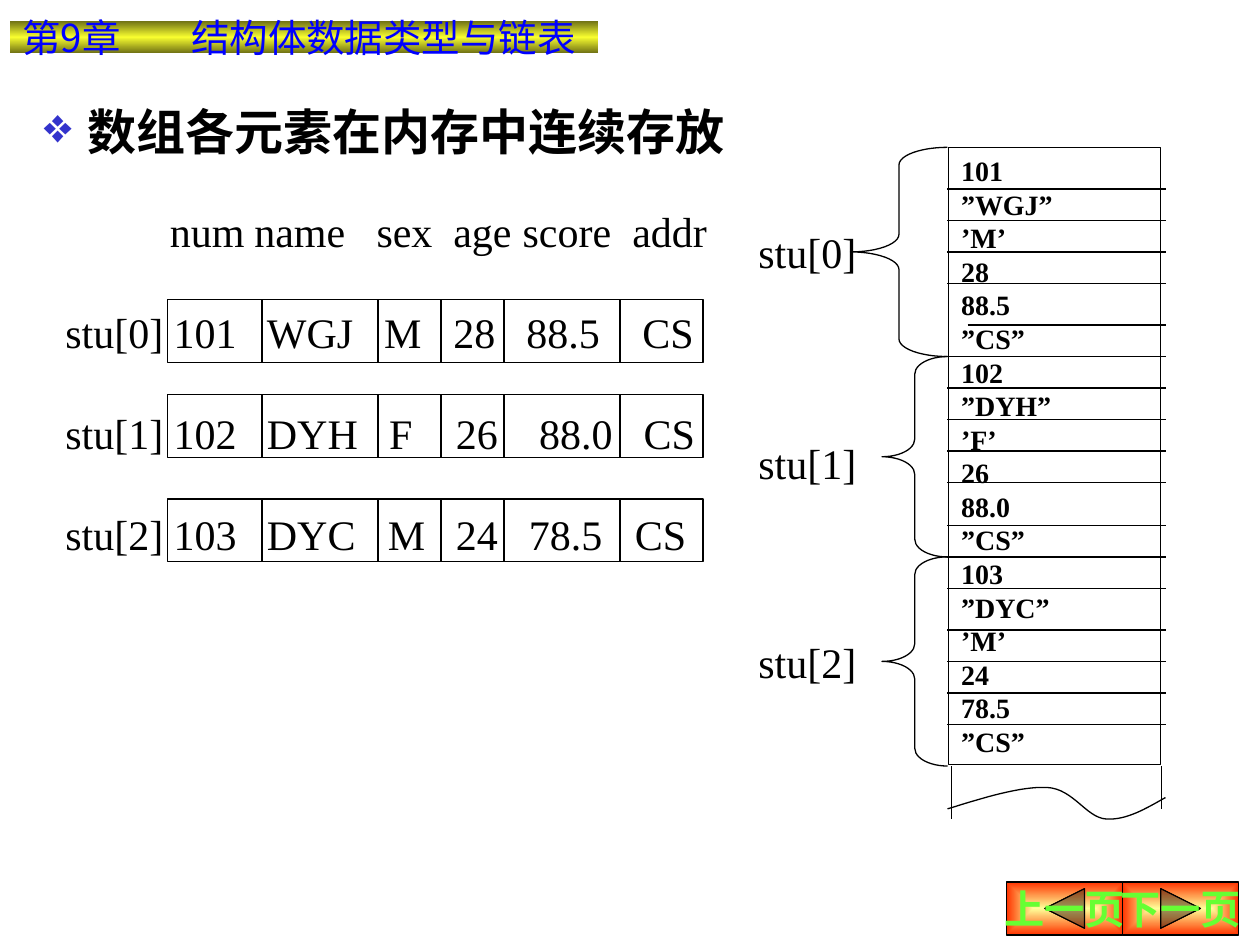
from lxml import etree
from pptx import Presentation
from pptx.dml.color import RGBColor
from pptx.enum.shapes import MSO_CONNECTOR, MSO_SHAPE
from pptx.enum.text import MSO_ANCHOR, PP_ALIGN
from pptx.oxml.ns import qn
from pptx.util import Inches, Pt

LATIN_FONT = "Times New Roman"
CJK_FONT = "Noto Sans CJK SC"
BLACK = "000000"
LINE_WIDTH = Pt(0.75)
STRAIGHT = MSO_CONNECTOR.STRAIGHT
TOP, MIDDLE = MSO_ANCHOR.TOP, MSO_ANCHOR.MIDDLE
LEFT, CENTER = PP_ALIGN.LEFT, PP_ALIGN.CENTER

STUDENTS = [
    ("101", "WGJ", "M", "28", "88.5", "CS"),
    ("102", "DYH", "F", "26", "88.0", "CS"),
    ("103", "DYC", "M", "24", "78.5", "CS"),
]
FIELDS = ("num", "name", "sex", "age", "score", "addr")
QUOTES = ("", "”", "’", "", "", "”")


def rgb(color):
    return RGBColor.from_string(color)


def add_line(slide, x1, y1, x2, y2):
    line = slide.shapes.add_connector(
        STRAIGHT, Inches(x1), Inches(y1), Inches(x2), Inches(y2))
    line.line.color.rgb = rgb(BLACK)
    line.line.width = LINE_WIDTH
    etree.SubElement(line._element.spPr, qn("a:effectLst"))


def outline(shape):
    """Leave only a thin black outline, without fill or shadow."""
    shape.shadow.inherit = False
    shape.fill.background()
    shape.line.color.rgb = rgb(BLACK)
    shape.line.width = LINE_WIDTH


def add_outlined(slide, kind, left, top, width, height):
    shape = slide.shapes.add_shape(
        kind, Inches(left), Inches(top), Inches(width), Inches(height))
    outline(shape)
    return shape


def add_textbox(slide, left, top, width, height):
    return slide.shapes.add_textbox(
        Inches(left), Inches(top), Inches(width), Inches(height))


def write(shape, lines, size, color=BLACK, bold=False, font=LATIN_FONT,
          align=LEFT, anchor=TOP, wrap=True, leading=None):
    """Fill the shape with one paragraph per line and return the paragraphs."""
    frame = shape.text_frame
    frame.word_wrap = wrap
    frame.vertical_anchor = anchor
    frame.text = "\n".join(lines)
    for paragraph in frame.paragraphs:
        paragraph.alignment = align
        if leading:
            paragraph.line_spacing = Pt(leading)
        paragraph.font.size = Pt(size)
        paragraph.font.bold = bold
        paragraph.font.name = font
        paragraph.font.color.rgb = rgb(color)
        for run in paragraph.runs:
            properties = run._r.get_or_add_rPr()
            etree.SubElement(properties, qn("a:ea"), typeface=CJK_FONT)
    return frame.paragraphs


def set_tabs(paragraph, stops):
    tabs = etree.Element(qn("a:tabLst"))
    for stop in stops:
        etree.SubElement(tabs, qn("a:tab"), pos=str(Inches(stop)), algn="l")
    paragraph._p.get_or_add_pPr().find(qn("a:defRPr")).addprevious(tabs)


def fill_gradient(shape, stops, angle=None):
    """Blend linearly at the angle, or outward from the centre without one."""
    shape.fill.gradient()
    gradient = shape._element.spPr.find(qn("a:gradFill"))
    for child in list(gradient):
        gradient.remove(child)
    stop_list = etree.SubElement(gradient, qn("a:gsLst"))
    for percent, color in stops:
        stop = etree.SubElement(stop_list, qn("a:gs"), pos=str(percent * 1000))
        etree.SubElement(stop, qn("a:srgbClr"), val=color)
    if angle is None:
        path = etree.SubElement(gradient, qn("a:path"), path="rect")
        etree.SubElement(path, qn("a:fillToRect"),
                         l="50000", t="50000", r="50000", b="50000")
    else:
        etree.SubElement(gradient, qn("a:lin"), ang=str(angle * 60000), scaled="0")


def add_chapter_bar(slide, left, top, width, height):
    bar = add_outlined(slide, MSO_SHAPE.RECTANGLE, left, top, width, height)
    bar.line.fill.background()
    fill_gradient(bar, [(0, "727415"), (50, "F8FD2F"), (100, "727415")], 90)
    heading, = write(bar, ["第9章\t结构体数据类型与链表"], 22, "0000FF",
                     font=CJK_FONT, anchor=MIDDLE)
    set_tabs(heading, [1.34])


def add_title(slide, left, top, width, height):
    title = add_textbox(slide, left, top, width, height)
    heading, = write(title, ["数组各元素在内存中连续存放"], 28, bold=True, anchor=MIDDLE)
    properties = heading._p.get_or_add_pPr()
    properties.set("marL", str(Inches(0.35)))
    properties.set("indent", str(-Inches(0.35)))
    bullet_color = etree.Element(qn("a:buClr"))
    etree.SubElement(bullet_color, qn("a:srgbClr"), val="3333CC")
    defaults = properties.find(qn("a:defRPr"))
    defaults.addprevious(bullet_color)
    defaults.addprevious(etree.Element(qn("a:buChar"), char="❖"))


def add_records(slide, left, top, width, height):
    """Place the field names and one ruled record per student."""
    lines = ["\t" + "\t".join(FIELDS)]
    lines += [f"stu[{i}]\t" + "\t".join(s) for i, s in enumerate(STUDENTS)]
    tab_stops = [
        (0.83, 1.5, 2.47, 3.08, 3.63, 4.5),
        (0.86, 1.6, 2.53, 3.08, 3.66, 4.58),
        (0.86, 1.6, 2.57, 3.1, 3.76, 4.59),
        (0.86, 1.6, 2.56, 3.1, 3.68, 4.52),
    ]
    paragraphs = write(add_textbox(slide, left, top, width, height), lines, 24,
                       leading=28.8)
    for paragraph, stops in zip(paragraphs, tab_stops):
        set_tabs(paragraph, stops)
    for paragraph in paragraphs[1:]:
        paragraph.space_before = Pt(28.9)

    frame_left, frame_width, row_height = left + 0.91, 4.25, 0.5
    for offset in (0.8, 1.55, 2.38):
        row_top = top + offset
        add_outlined(slide, MSO_SHAPE.RECTANGLE, frame_left, row_top,
                     frame_width, row_height)
        for divider in (0.75, 1.67, 2.17, 2.67, 3.59):
            x = frame_left + divider
            add_line(slide, x, row_top, x, row_top + row_height)


def add_wave(slide, left, top):
    """Draw the torn lower edge of the memory column."""
    curves = [
        ((0, 0.18), (0.29, 0.09), (0.58, 0), (0.79, 0.01)),
        ((0.79, 0.01), (1, 0.02), (1.1, 0.25), (1.26, 0.26)),
        ((1.26, 0.26), (1.42, 0.27), (1.57, 0.18), (1.73, 0.09)),
    ]
    steps = 16
    points = []
    for curve in curves:
        for step in range(1, steps + 1):
            t = step / steps
            weights = ((1 - t) ** 3, 3 * t * (1 - t) ** 2, 3 * t ** 2 * (1 - t), t ** 3)
            points.append(tuple(
                Inches(origin + sum(w * p[axis] for w, p in zip(weights, curve)))
                for axis, origin in enumerate((left, top))))
    start_x, start_y = curves[0][0]
    builder = slide.shapes.build_freeform(Inches(left + start_x), Inches(top + start_y))
    builder.add_line_segments(points, close=False)
    outline(builder.convert_to_shape())


def add_memory(slide, left, top, width, height):
    """Stack all members in one column, with a brace for each element."""
    bottom = top + height
    add_line(slide, left + 1.69, bottom + 0.01, left + 1.69, bottom + 0.35)
    add_line(slide, left + 0.02, bottom + 0.01, left + 0.02, bottom + 0.43)
    column = add_outlined(slide, MSO_SHAPE.RECTANGLE, left, top, width, height)
    members = [q + value + q for s in STUDENTS for q, value in zip(QUOTES, s)]
    write(column, members, 16, bold=True, leading=19.2)

    for y in (1.5, 1.75, 2, 2.25, 2.58, 2.83, 3.08, 3.33, 3.58, 3.83,
              4.17, 4.42, 4.67, 5, 5.25, 5.5, 5.75):
        indent = 0.15 if y == 2.58 else -0.01
        add_line(slide, left + indent, y, left + 1.72, y)
    add_wave(slide, left - 0.01, bottom + 0.17)

    braces = [(0, 1.66, 0.77, 0.58), (1.66, 1.59, 0.52, 2.25), (3.25, 1.66, 0.52, 3.83)]
    for index, (offset, span, depth, label_offset) in enumerate(braces):
        brace = add_outlined(slide, MSO_SHAPE.LEFT_BRACE, left - 0.01 - depth,
                             top + offset, depth, span)
        brace.adjustments[0] = 0.14 / depth
        label = add_textbox(slide, left - 1.61, top + label_offset, 0.98, 0.5)
        write(label, [f"stu[{index}]"], 24, wrap=False, leading=28.8)


def add_page_buttons(slide, left, top, width, height):
    buttons = [
        (MSO_SHAPE.ACTION_BUTTON_BACK_OR_PREVIOUS, "上一页"),
        (MSO_SHAPE.ACTION_BUTTON_FORWARD_OR_NEXT, "下一页"),
    ]
    pitch = width / len(buttons)
    for index, (kind, caption) in enumerate(buttons):
        button = add_outlined(slide, kind, left + index * pitch, top, pitch, height)
        fill_gradient(button, [(0, "FFFF99"), (100, "FF3300")])
        write(button, [caption], 23, "66FF33", bold=True, align=CENTER,
              anchor=MIDDLE, wrap=False)


def main():
    deck = Presentation()
    deck.slide_width, deck.slide_height = Inches(10), Inches(7.5)
    slide = deck.slides.add_slide(deck.slide_layouts[6])
    add_memory(slide, 7.53, 1.17, 1.68, 4.9)
    add_title(slide, 0.25, 0.75, 5.83, 0.58)
    add_records(slide, 0.42, 1.58, 5.5, 3.3)
    add_chapter_bar(slide, 0.08, 0.17, 4.67, 0.25)
    add_page_buttons(slide, 7.99, 7, 1.84, 0.42)
    deck.save("out.pptx")


if __name__ == "__main__":
    main()
